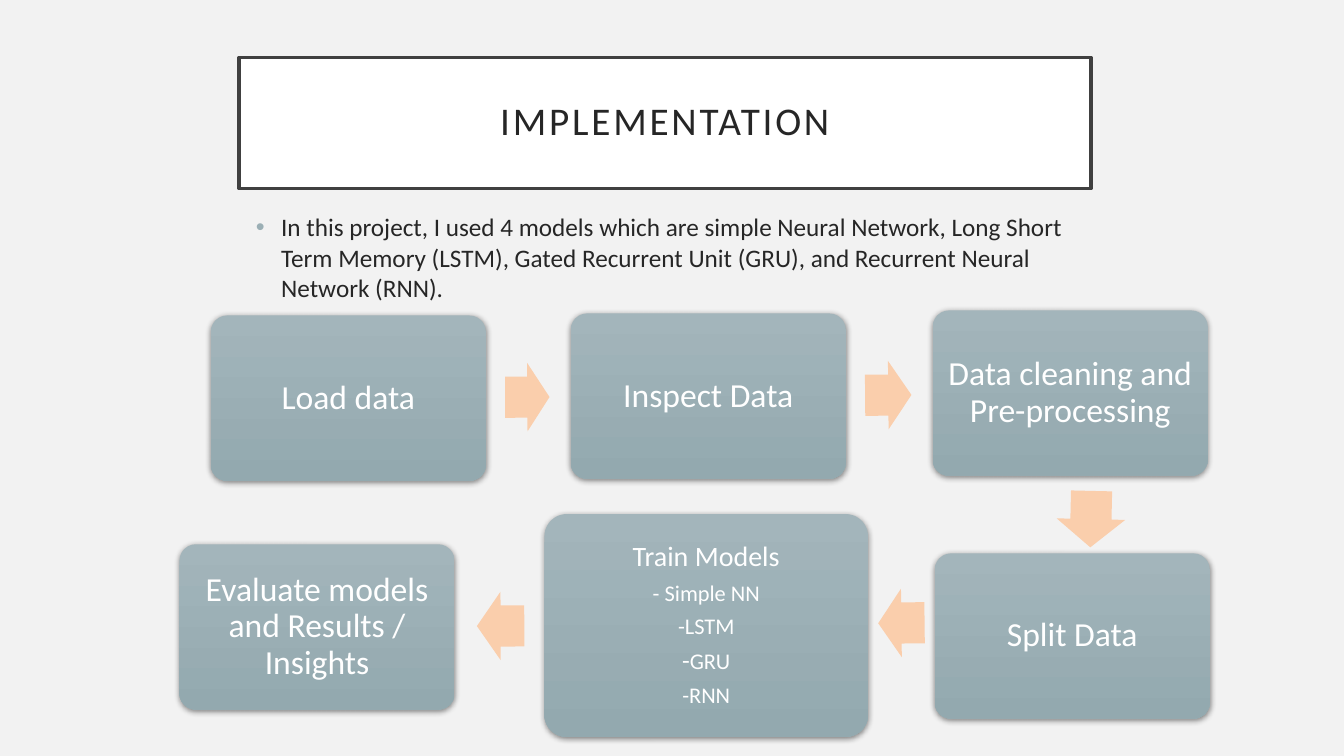
import pptx
import pptx.util
import pptx.dml.color
import pptx.enum.shapes
import pptx.enum.text
import pptx.oxml
import pptx.oxml.ns
from pptx.util import Inches, Pt

COLORS = {"page": "F2F2F2", "white": "FFFFFF", "frame": "404040", "ink": "262626",
          "bullet": "9BAFB5", "step_top": "A3B5BB", "step_bottom": "93A9AF",
          "arrow": "FACEAC", "shadow": "000000"}
FONT = "Calibri"
TITLE = "IMPLEMENTATION"
INTRO = ("In this project, I used 4 models which are simple Neural Network, "
         "Long Short Term Memory (LSTM), Gated Recurrent Unit (GRU), "
         "and Recurrent Neural Network (RNN).")

STEP_SIZE = (2.73, 1.64)
TRAIN_SIZE = (3.21, 2.21)
# left, top, size, paragraphs; each paragraph is a list of (text, points)
STEPS = [
    (2.09, 3.13, STEP_SIZE, [[("Load data", 24)]]),
    (5.66, 3.11, STEP_SIZE, [[("Inspect Data", 24)]]),
    (9.25, 3.08, STEP_SIZE, [[("Data cleaning and Pre-processing", 24)]]),
    (9.27, 5.49, STEP_SIZE, [[("Split Data", 24)]]),
    (5.4, 5.1, TRAIN_SIZE, [[("Train Models", 20)], [("- Simple NN", 16)], [("-LSTM", 16)],
                            [("-", 18), ("GRU", 16)], [("-RNN", 16)]]),
    (1.78, 5.4, STEP_SIZE, [[("Evaluate models and Results / Insights", 24)]]),
]
ARROW_HEIGHT = 0.68
# left, top, length, rotation
ARROWS = [(5.01, 3.6, 0.44, 359.7), (8.58, 3.58, 0.46, 359.5), (10.54, 4.81, 0.56, 91.3),
          (8.71, 5.84, 0.46, 179.3), (4.73, 5.87, 0.47, 179.8)]

SHAPES = pptx.enum.shapes.MSO_SHAPE
ALIGN = pptx.enum.text.PP_ALIGN
ANCHOR = pptx.enum.text.MSO_ANCHOR


def color(name):
    return pptx.dml.color.RGBColor.from_string(COLORS[name])


def xml(tag, content):
    namespace = pptx.oxml.ns.nsdecls("a")
    return pptx.oxml.parse_xml(f"<a:{tag.format(ns=namespace)}>{content}</a:{tag.split()[0]}>")


def add_span(para, text, points, color_name):
    span = para.add_run()
    span.text = text
    span.font.name = FONT
    span.font.size = Pt(points)
    span.font.color.rgb = color(color_name)
    return span


def set_frame(frame, inset, anchor):
    frame.word_wrap = True
    frame.vertical_anchor = anchor
    frame.margin_left = frame.margin_right = Inches(inset)
    frame.margin_top = frame.margin_bottom = Inches(inset)


def add_title(page):
    box = page.shapes.add_shape(SHAPES.RECTANGLE, Inches(2.37), Inches(0.57),
                                Inches(8.45), Inches(1.3))
    box.shadow.inherit = False
    box.fill.solid()
    box.fill.fore_color.rgb = color("white")
    box.line.color.rgb = color("frame")
    box.line.width = Pt(2.5)
    set_frame(box.text_frame, 0.2, ANCHOR.MIDDLE)
    para = box.text_frame.paragraphs[0]
    para.alignment = ALIGN.CENTER
    para.line_spacing = 0.9
    span = add_span(para, TITLE, 28, "ink")
    span.font._element.set("spc", "200")


def add_intro(page):
    box = page.shapes.add_textbox(Inches(2.44), Inches(2.05), Inches(8.45), Inches(1.05))
    box.text_frame.word_wrap = True
    para = box.text_frame.paragraphs[0]
    add_span(para, INTRO, 18, "ink")
    properties = para._p.get_or_add_pPr()
    properties.set("marL", str(Inches(0.25)))
    properties.set("indent", str(Inches(-0.25)))
    properties.append(xml("buClr {ns}", f'<a:srgbClr val="{COLORS["bullet"]}"/>'))
    properties.append(xml('buFont {ns} typeface="Arial"', ""))
    properties.append(xml('buChar {ns} char="•"', ""))


def add_step(page, left, top, size, paragraphs):
    box = page.shapes.add_shape(SHAPES.ROUNDED_RECTANGLE, Inches(left), Inches(top),
                                *map(Inches, size))
    box.adjustments[0] = 0.1
    box.fill.gradient()
    box.fill.gradient_angle = 270
    for stop, name in zip(box.fill.gradient_stops, ("step_top", "step_bottom")):
        stop.color.rgb = color(name)
    box.line.fill.background()
    box.shadow.inherit = False
    effects = box._element.spPr.find(pptx.oxml.ns.qn("a:effectLst"))
    effects.append(xml(
        f'outerShdw {{ns}} blurRad="{Pt(4.4)}" dist="{Pt(1.2)}" dir="5400000" rotWithShape="0"',
        f'<a:srgbClr val="{COLORS["shadow"]}"><a:alpha val="45000"/></a:srgbClr>'))
    frame = box.text_frame
    set_frame(frame, 0.1, ANCHOR.MIDDLE)
    for index, spans in enumerate(paragraphs):
        para = frame.add_paragraph() if index else frame.paragraphs[0]
        para.alignment = ALIGN.CENTER
        para.line_spacing = 0.9
        para.space_after = Pt(round(0.37 * spans[0][1]))
        for text, points in spans:
            add_span(para, text, points, "white")


def add_arrow(page, left, top, length, rotation):
    arrow = page.shapes.add_shape(SHAPES.RIGHT_ARROW, Inches(left), Inches(top),
                                  Inches(length), Inches(ARROW_HEIGHT))
    arrow.adjustments[0] = 0.6
    arrow.adjustments[1] = 0.5
    arrow.rotation = rotation
    arrow.shadow.inherit = False
    arrow.fill.solid()
    arrow.fill.fore_color.rgb = color("arrow")
    arrow.line.fill.background()


def main():
    deck = pptx.Presentation()
    deck.slide_width, deck.slide_height = Inches(13.33), Inches(7.5)
    page = deck.slides.add_slide(deck.slide_layouts[6])
    page.background.fill.solid()
    page.background.fill.fore_color.rgb = color("page")
    add_title(page)
    add_intro(page)
    for step in STEPS:
        add_step(page, *step)
    for arrow in ARROWS:
        add_arrow(page, *arrow)
    deck.save("out.pptx")


if __name__ == "__main__":
    main()
